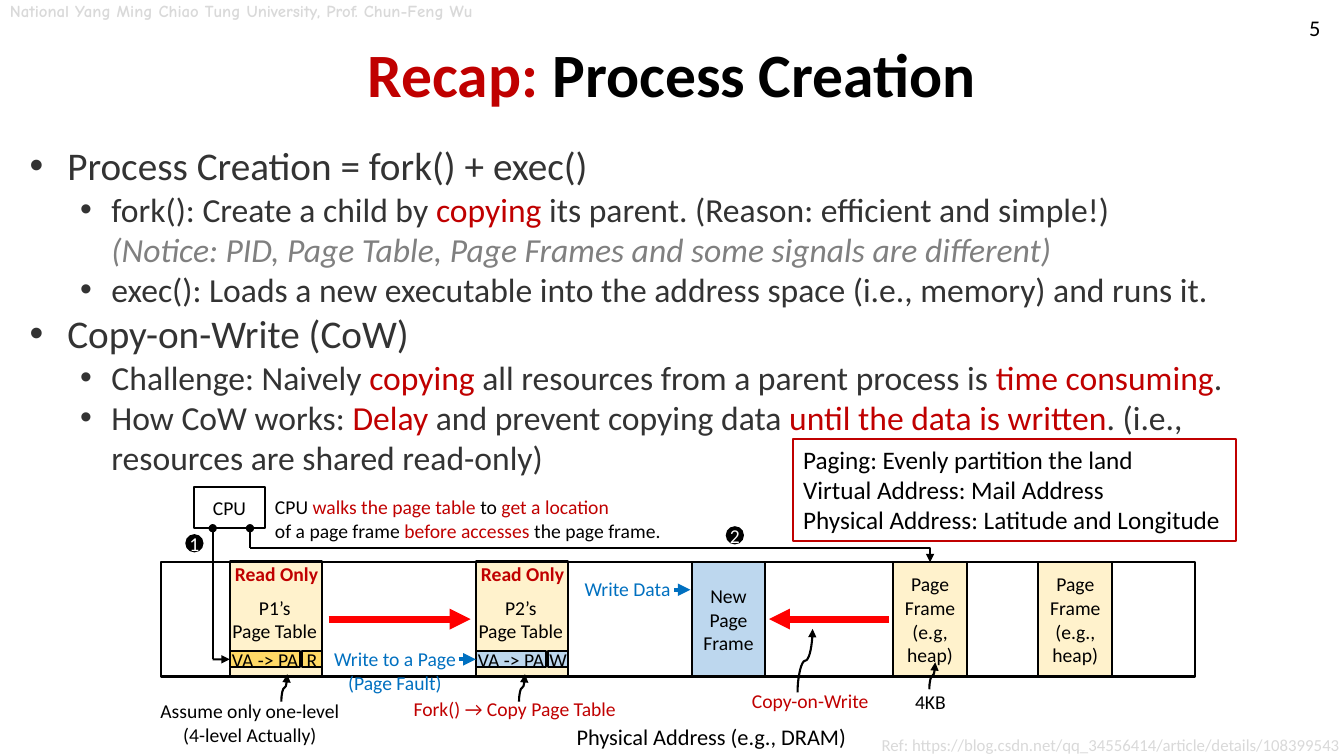
from lxml import etree
from pptx import Presentation
from pptx.dml.color import RGBColor
from pptx.enum.shapes import MSO_CONNECTOR, MSO_SHAPE
from pptx.enum.text import MSO_ANCHOR, PP_ALIGN
from pptx.oxml.ns import qn
from pptx.util import Cm, Pt

STRAIGHT, ELBOW, CURVE = MSO_CONNECTOR.STRAIGHT, MSO_CONNECTOR.ELBOW, MSO_CONNECTOR.CURVE
RECT, OVAL = MSO_SHAPE.RECTANGLE, MSO_SHAPE.OVAL
TOP, MIDDLE = MSO_ANCHOR.TOP, MSO_ANCHOR.MIDDLE
LEFT, CENTER = PP_ALIGN.LEFT, PP_ALIGN.CENTER
TOP_SIDE, LEFT_SIDE = 0, 1

BLACK, WHITE, RED, BRIGHT_RED = "000000", "FFFFFF", "C00000", "FF0000"
DARK, GREY, PALE, BLUE = "333333", "808080", "D9D9D9", "0070C0"
CREAM, GOLD, SKY = "FFF2CC", "FFD966", "BDD7EE"

# A paragraph is a list of runs: (text, colour); "\n" is a line break.
TITLE = [("Recap: ", RED), ("Process Creation", BLACK)]
BULLETS = [  # (level, runs)
    (0, [("Process Creation = fork() + exec()", DARK)]),
    (1, [("fork(): Create a child by ", DARK), ("copying ", RED),
         ("its parent. (Reason: efficient and simple!)", DARK), ("\n", DARK),
         ("(Notice: PID, Page Table, Page Frames and some signals are different)", GREY)]),
    (1, [("exec(): Loads a new executable into the address space (i.e., memory) and runs it.", DARK)]),
    (0, [("Copy-on-Write (CoW)", DARK)]),
    (1, [("Challenge: Naively ", DARK), ("copying ", RED),
         ("all resources from a parent process is ", DARK), ("time consuming", RED), (".", DARK)]),
    (1, [("How CoW works: ", DARK), ("Delay ", RED), ("and prevent copying data ", DARK),
         ("until the data is written", RED), (". (i.e., resources are shared read-only)", DARK)]),
]
LEVELS = [(28, 0.95, 0.95), (24, 2.06, 0.79)]  # size, left margin, hanging indent
CPU_NOTE = [
    [("CPU ", BLACK), ("walks the page table ", RED), ("to ", BLACK), ("get a location", RED)],
    [("of a page frame ", BLACK), ("before accesses", RED), (" the page frame.", BLACK)],
]
ANALOGIES = ["Paging: Evenly partition the land", "Virtual Address: Mail Address",
             "Physical Address: Latitude and Longitude"]
REFERENCE = "Ref: https://blog.csdn.net/qq_34556414/article/details/108399543"
PAGE_TABLES = [  # left, owner, entry fill, permission
    (5.79, "P1’s", GOLD, "R"),
    (11.99, "P2’s", SKY, "W"),
]
PAGE_FRAMES = [  # left, fill, lines
    (17.43, SKY, ["New", "Page Frame"]),
    (22.51, CREAM, ["Page Frame", "(e.g, heap)"]),
    (26.17, CREAM, ["Page Frame", "(e.g., heap)"]),
]
LABELS = [  # box, lines, colour, size, alignment
    ((14.28, 18.11, 7.39, 0.94), ["Physical Address (e.g., DRAM)"], BLACK, 16, LEFT),
    ((22.81, 17.25, 1.3, 0.86), ["4KB"], BLACK, 14, LEFT),
    ((3.76, 17.49, 5.08, 1.45), ["Assume only one-level", "(4-level Actually)"], BLACK, 14, CENTER),
    ((10.13, 17.44, 5.69, 0.86), ["Fork() → Copy Page Table"], RED, 14, CENTER),
    ((8.15, 16.18, 3.61, 1.45), ["Write to a Page", "(Page Fault)"], BLUE, 14, CENTER),
    ((18.68, 17.23, 3.48, 0.86), ["Copy-on-Write"], RED, 14, CENTER),
    ((14.47, 14.42, 2.69, 0.86), ["Write Data"], BLUE, 14, CENTER),
]
POINTERS = [  # curved, from bottom left to top right
    (23.42, 17.37, 23.57, 16.69), (7.09, 17.68, 7.24, 16.99),
    (13.08, 17.68, 13.23, 16.99), (20.1, 17.45, 20.48, 15.85),
]
STEPS = [("1", 4.67, 13.46), ("2", 18.29, 13.26)]
MEMORY_TOP, MEMORY_HEIGHT = 14.17, 2.88
ENTRY_TOP, ENTRY_HEIGHT, ENTRY_WIDTH, PERMISSION_LEFT = 16.41, 0.41, 1.78, 1.82
ENTRY_MIDDLE = ENTRY_TOP + ENTRY_HEIGHT / 2
CPU_BOTTOM, BUS_Y = 13.31, 13.82


def rgb(color):
    return RGBColor.from_string(color)


def write_runs(paragraph, runs):
    for text, color in runs:
        if text == "\n":
            paragraph.add_line_break()
            continue
        run = paragraph.add_run()
        run.text = text
        run.font.color.rgb = rgb(color)
        if color == GREY:
            run.font.italic = True


def write(shape, lines, color=BLACK, size=14, align=CENTER, anchor=TOP, wrap=False,
          bold=None, font="Calibri"):
    """Fill a shape; each line is a string or a list of runs."""
    frame = shape.text_frame
    frame.word_wrap = wrap
    frame.vertical_anchor = anchor
    for index, line in enumerate(lines):
        paragraph = frame.add_paragraph() if index else frame.paragraphs[0]
        paragraph.alignment = align
        write_runs(paragraph, [(line, color)] if isinstance(line, str) else line)
        paragraph.font.size, paragraph.font.name, paragraph.font.bold = Pt(size), font, bold
    return frame


def add_label(box, lines, **style):
    return write(slide.shapes.add_textbox(*map(Cm, box)), lines, **style)


def add_box(box, fill=None, line=BLACK, kind=RECT):
    shape = slide.shapes.add_shape(kind, *map(Cm, box))
    shape.shadow.inherit = False
    if fill:
        shape.fill.solid()
        shape.fill.fore_color.rgb = rgb(fill)
    else:
        shape.fill.background()
    if line:
        shape.line.color.rgb = rgb(line)
        shape.line.width = Pt(1.5)
    else:
        shape.line.fill.background()
    return shape


def add_line(points, color=BLACK, width=1.5, head=None, tail="triangle", kind=STRAIGHT):
    connector = slide.shapes.add_connector(kind, *map(Cm, points))
    connector.line.color.rgb = rgb(color)
    connector.line.width = Pt(width)
    outline = connector.line._ln
    for tag, end in (("a:headEnd", head), ("a:tailEnd", tail)):
        if end:
            etree.SubElement(outline, qn(tag)).set("type", end)
    etree.SubElement(connector._element.spPr, qn("a:effectLst"))
    return connector


def add_pointer(x1, y1, x2, y2):
    """Draw a curve that leaves and arrives vertically, as a quarter-turned connector."""
    mid_x, mid_y = (x1 + x2) / 2, (y1 + y2) / 2
    along, across = (y1 - y2) / 2, (x2 - x1) / 2
    curve = add_line((mid_x + along, mid_y + across, mid_x - along, mid_y - across), kind=CURVE)
    curve._element.spPr.find(qn("a:xfrm")).set("rot", "5400000")


prs = Presentation()
prs.slide_width, prs.slide_height = Cm(33.87), Cm(19.05)
slide = prs.slides.add_slide(prs.slide_layouts[5])

# Header, title, bullets and reference
add_label((0, -0.1, 13.18, 0.76), ["National Yang Ming Chiao Tung University, Prof. Chun-Feng Wu"],
          color=PALE, size=12, align=LEFT, bold=True, font="Comic Neue")
title = slide.shapes.title
title.left, title.top, title.width, title.height = map(Cm, (0.5, 0.48, 32.87, 2.95))
write(title, [TITLE], size=44, anchor=MIDDLE, wrap=True, bold=True)
title.text_frame.paragraphs[0].line_spacing = 0.9
add_label((32.41, 0.03, 1.45, 1.35), ["5"], size=16, anchor=MIDDLE)
reference = add_label((21.97, 18.39, 11.9, 0.76), [REFERENCE], color=PALE, size=12, align=LEFT)
reference.margin_right = 0

body = slide.shapes.add_textbox(*map(Cm, (0.5, 3.44, 32.87, 15.11))).text_frame
body.word_wrap = True
for index, (level, runs) in enumerate(BULLETS):
    paragraph = body.add_paragraph() if index else body.paragraphs[0]
    size, margin, hanging = LEVELS[level]
    paragraph.level = level
    properties = paragraph._p.get_or_add_pPr()
    properties.set("marL", str(Cm(margin)))
    properties.set("indent", str(-Cm(hanging)))
    etree.SubElement(properties, qn("a:buFont")).set("typeface", "Arial")
    etree.SubElement(properties, qn("a:buChar")).set("char", "•")
    write_runs(paragraph, runs)
    paragraph.font.size, paragraph.font.name = Pt(size), "Calibri"

# Physical memory with its page tables and page frames
add_box((4.06, MEMORY_TOP, 26.06, MEMORY_HEIGHT), WHITE)
entries = []
for left, owner, fill, permission in PAGE_TABLES:
    add_box((left, 14.15, 2.32, 2.9), CREAM)
    add_label((left - 0.2, 14.88, 2.67, 1.45), [owner, "Page Table"])
    add_label((left - 0.12, 14.04, 2.62, 0.86), ["Read Only"], color=RED, align=LEFT, bold=True)
    for offset, width, text in ((0, ENTRY_WIDTH, "VA -> PA"), (PERMISSION_LEFT, 0.51, permission)):
        cell = add_box((left + offset, ENTRY_TOP, width, ENTRY_HEIGHT), fill)
        frame = write(cell, [text], anchor=MIDDLE)
        frame.margin_left = frame.margin_right = 0
        if not offset:
            entries.append(cell)
frames = []
for left, fill, lines in PAGE_FRAMES:
    frames.append(add_box((left, MEMORY_TOP, 1.86, MEMORY_HEIGHT), fill))
    write(frames[-1], lines, anchor=MIDDLE, wrap=True)

for box, lines, color, size, align in LABELS:
    add_label(box, lines, color=color, size=size, align=align)
for points in POINTERS:
    add_pointer(*points)

# CPU: step 1 walks the page table, step 2 reaches the page frame
write(add_box((4.89, 12.27, 1.79, 1.04), WHITE), ["CPU"], anchor=MIDDLE)
add_label((6.68, 12.35, 10.36, 1.45), CPU_NOTE, align=LEFT, wrap=True)
add_line((5.36, CPU_BOTTOM, 5.36, ENTRY_MIDDLE), head="oval", tail=None)
add_line((5.36, ENTRY_MIDDLE, 5.79, ENTRY_MIDDLE)).end_connect(entries[0], LEFT_SIDE)
add_line((6.3, CPU_BOTTOM, 6.3, BUS_Y), head="oval", tail=None)
bus = add_line((6.3, BUS_Y, 23.44, MEMORY_TOP), kind=ELBOW)
bus.end_connect(frames[1], TOP_SIDE)
bus._element.spPr.find(qn("a:prstGeom")).set("prst", "bentConnector2")
for number, left, top in STEPS:
    badge = write(add_box((left, top, 0.46, 0.46), BLACK, None, OVAL), [number],
                  color=WHITE, anchor=MIDDLE)
    badge.margin_left = badge.margin_right = badge.margin_top = badge.margin_bottom = 0

# Copy and write arrows
for start, end in ((8.28, 11.86), (22.4, 19.38)):
    add_line((start, 15.6, end, 15.6), BRIGHT_RED, 5)
add_line((11.56, ENTRY_MIDDLE, 11.99, ENTRY_MIDDLE), BLUE, 3).end_connect(entries[1], LEFT_SIDE)
add_line((16.99, 14.86, 17.4, 14.86), BLUE, 3)

write(add_box((19.99, 11.07, 11.15, 2.57), None, RED), ANALOGIES, size=18, align=LEFT)

prs.save("out.pptx")
